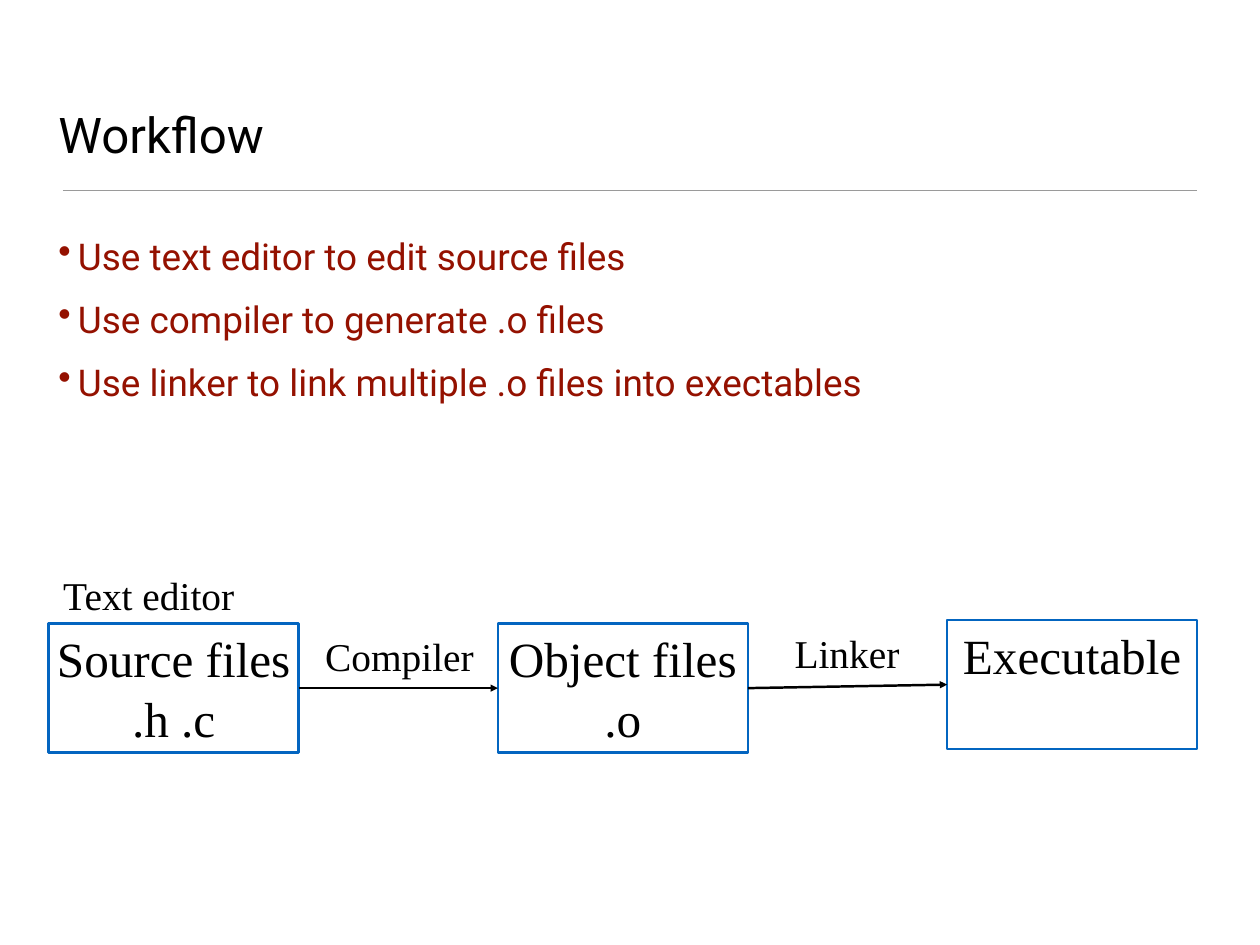
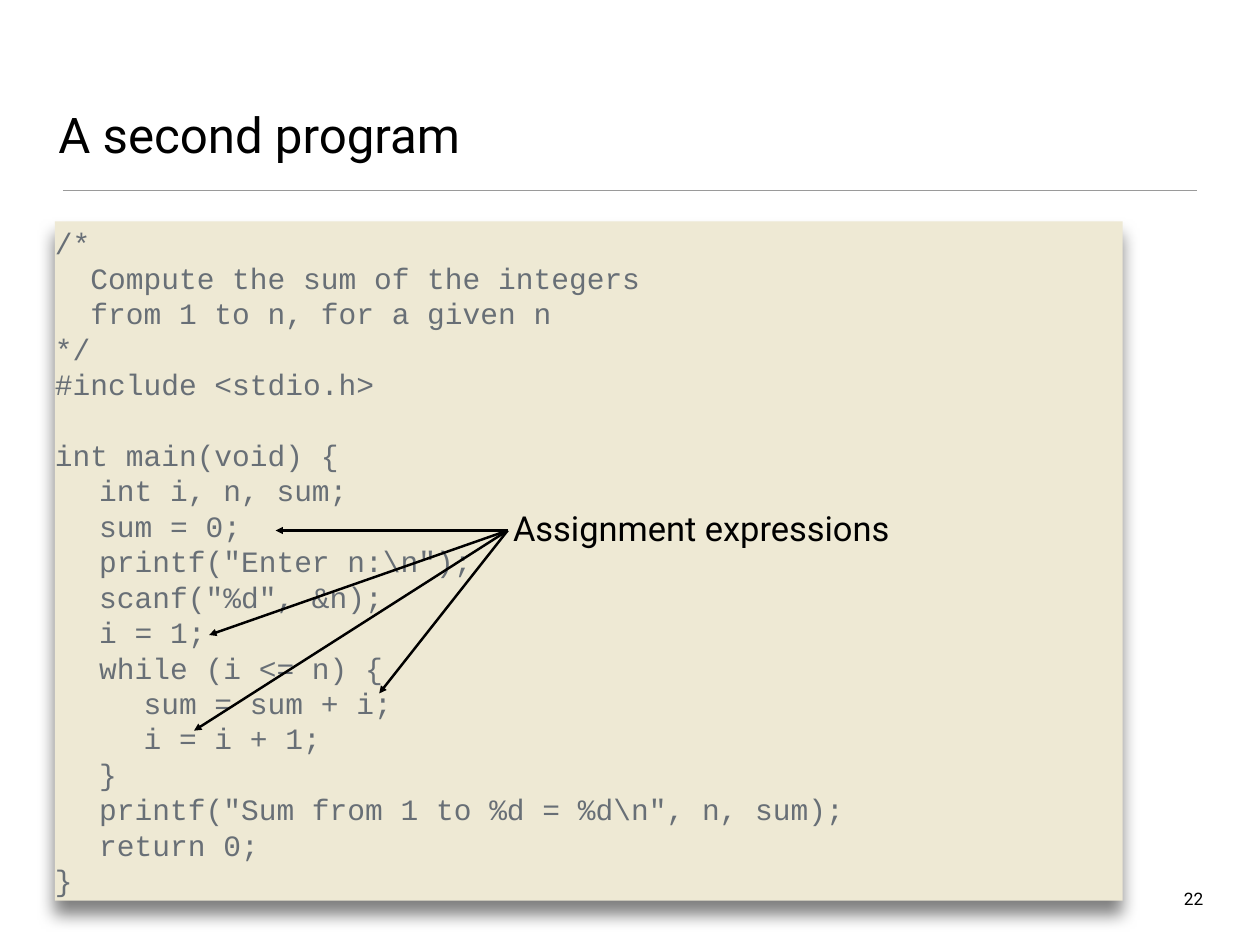
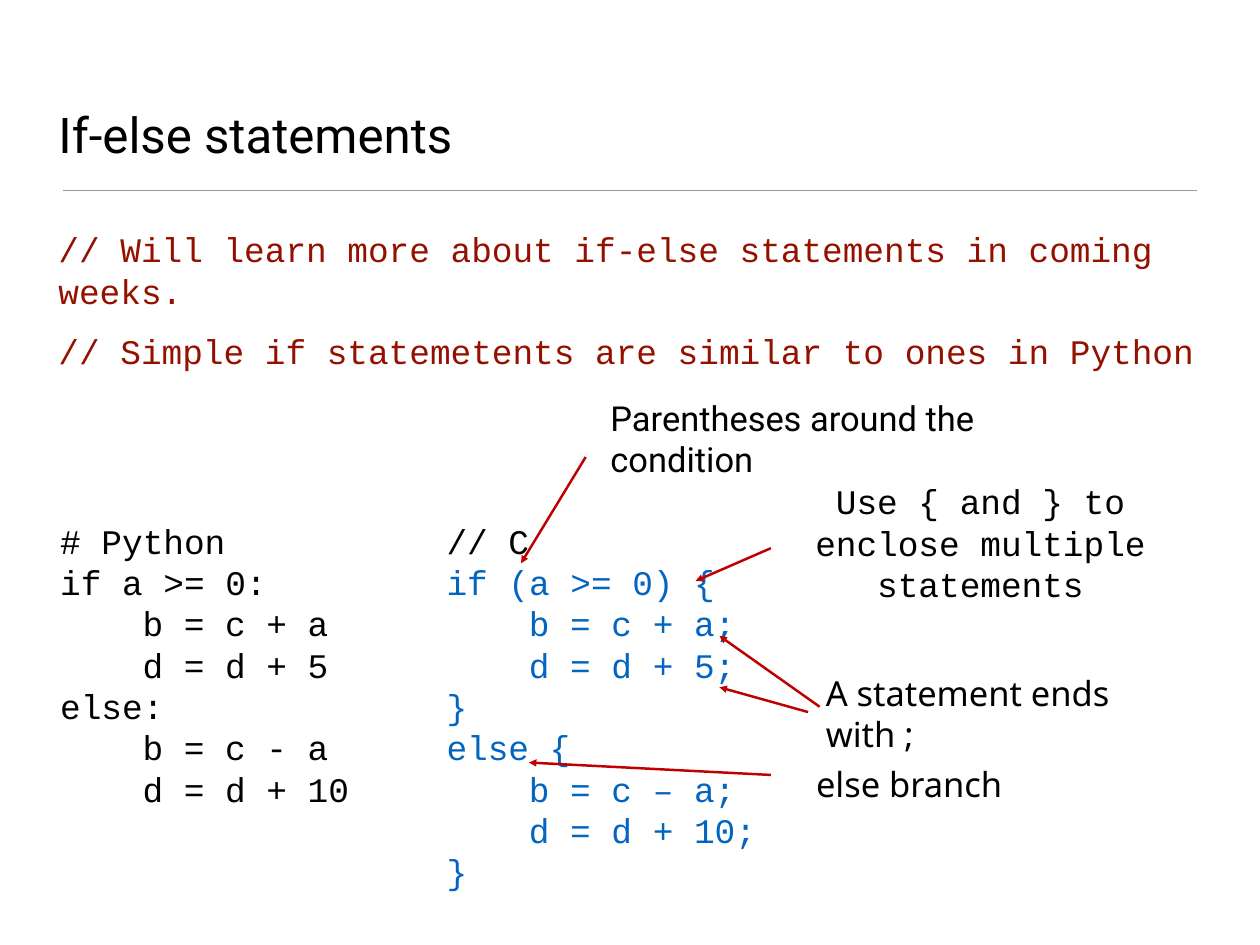
from lxml import etree
from pptx import Presentation
from pptx.dml.color import RGBColor
from pptx.enum.shapes import MSO_CONNECTOR, MSO_SHAPE
from pptx.enum.text import MSO_ANCHOR, PP_ALIGN
from pptx.oxml.ns import qn
from pptx.util import Inches, Pt

TOP, MIDDLE, BOTTOM = MSO_ANCHOR.TOP, MSO_ANCHOR.MIDDLE, MSO_ANCHOR.BOTTOM
LEFT, CENTER, RIGHT = PP_ALIGN.LEFT, PP_ALIGN.CENTER, PP_ALIGN.RIGHT
STRAIGHT, RECTANGLE = MSO_CONNECTOR.STRAIGHT, MSO_SHAPE.RECTANGLE

BLACK = RGBColor(0x00, 0x00, 0x00)
GRAY = RGBColor(0x9A, 0x9A, 0x9A)
SLATE = RGBColor(0x68, 0x6F, 0x76)
SAND = RGBColor(0xEE, 0xE9, 0xD4)
BLUE = RGBColor(0x03, 0x65, 0xC0)
MAROON = RGBColor(0x94, 0x11, 0x00)
RED = RGBColor(0xC0, 0x00, 0x00)

SANS, NOTO, SERIF, MONO = "Roboto", "Noto Sans", "Times New Roman", "Courier New"
LINE_HEIGHT = 1.2
TITLE_BOX = (0.62, 0.36, 12.97, 1.53)
BODY_SIZE = (12.97, 7.18)


def write(shape, lines, font, size, color=BLACK, anchor=MIDDLE, align=LEFT,
          inset=0.06, before=0, bullet=False):
    frame = shape.text_frame
    margin = Inches(inset)
    frame_format = {"word_wrap": True, "vertical_anchor": anchor,
                    "margin_left": margin, "margin_right": margin,
                    "margin_top": margin, "margin_bottom": margin}
    for name, value in frame_format.items():
        setattr(frame, name, value)
    for index, line in enumerate(lines):
        text, own = (line, {}) if isinstance(line, str) else line
        para = frame.add_paragraph() if index else frame.paragraphs[0]
        para_format = {"alignment": align, "line_spacing": Pt(size * LINE_HEIGHT),
                       "space_before": Pt(own.get("before", before))}
        for name, value in para_format.items():
            setattr(para, name, value)
        properties = para._p.get_or_add_pPr()
        if "indent" in own:
            properties.set("marL", str(Inches(own["indent"])))
            properties.set("indent", "0")
        if bullet:
            properties.set("marL", str(Inches(0.22)))
            properties.set("indent", str(Inches(-0.22)))
            etree.SubElement(properties, qn("a:buChar")).set("char", "•")
        span = para.add_run()
        span.text = text
        span_format = {"name": font, "size": Pt(size)}
        for name, value in span_format.items():
            setattr(span.font, name, value)
        span.font.color.rgb = own.get("color", color)


def add_text(page, box, lines, font, size, **style):
    write(page.shapes.add_textbox(*map(Inches, box)), lines, font, size, **style)


def add_line(page, start, end, color=BLACK, width=2, arrow=True):
    line = page.shapes.add_connector(STRAIGHT, *map(Inches, (*start, *end)))
    line.line.color.rgb = color
    line.line.width = Pt(width)
    if arrow:
        outline = line.line._get_or_add_ln()
        etree.SubElement(outline, qn("a:tailEnd")).set("type", "triangle")
    etree.SubElement(line._element.spPr, qn("a:effectLst"))


def add_panel(page, box, fill=None, outline=None):
    panel = page.shapes.add_shape(RECTANGLE, *map(Inches, box))
    panel.shadow.inherit = False
    if fill is None:
        panel.fill.background()
    else:
        panel.fill.solid()
        panel.fill.fore_color.rgb = fill
    if outline is None:
        panel.line.fill.background()
    else:
        panel.line.color.rgb = outline
        panel.line.width = Pt(2)
    return panel


def add_shadow(panel):
    effects = panel._element.spPr.find(qn("a:effectLst"))
    shadow = etree.SubElement(effects, qn("a:outerShdw"))
    shadow_format = {"blurRad": Pt(14), "dist": Pt(11), "dir": 90 * 60000,
                     "algn": "t", "rotWithShape": 0}
    for name, value in shadow_format.items():
        shadow.set(name, str(value))
    color = etree.SubElement(shadow, qn("a:srgbClr"))
    color.set("val", str(BLACK))
    etree.SubElement(color, qn("a:alpha")).set("val", "50000")


def add_page(deck, title):
    page = deck.slides.add_slide(deck.slide_layouts[6])
    add_line(page, (0.71, 2.15), (13.51, 2.15), GRAY, 1, arrow=False)
    add_text(page, TITLE_BOX, [title], SANS, 40, anchor=BOTTOM, inset=0.04)
    return page


def add_stages(page, box):
    left, top, width, height = box
    pitch = 5.07
    stages = [(["Source files", ".h .c"], 0), (["Object files", ".o"], 0),
              (["Executable"], -0.04)]
    for index, (lines, shift) in enumerate(stages):
        stage = add_panel(page, (left + index * pitch, top + shift, width, height),
                          outline=BLUE)
        write(stage, lines, SERIF, 40, anchor=TOP, align=CENTER)
    for index in range(2):
        start = left + index * pitch + width
        middle = top + height / 2
        add_line(page, (start, middle),
                 (start + pitch - width, middle + stages[index + 1][1]))
    labels = [("Text editor", -0.06, -0.65, 2.38), ("Compiler", 2.92, 0.04, 2.08),
              ("Linker", 8.09, 0.01, 1.84)]
    for label, across, down, label_width in labels:
        add_text(page, (left + across, top + down, label_width, 0.65), [label],
                 SERIF, 32, align=CENTER)


def add_program(page, box):
    first, second = {"indent": 0.5}, {"indent": 1}
    comment = {"indent": 0.4}
    panel = add_panel(page, box, fill=SAND)
    add_shadow(panel)
    write(panel, [
        "/*",
        ("Compute the sum of the integers", comment),
        ("from 1 to n, for a given n", comment),
        "*/",
        "#include <stdio.h>",
        ("int main(void) {", {"before": 24 * LINE_HEIGHT}),
        ("int i, n, sum;", first),
        ("sum = 0;", first),
        ('printf("Enter n:\\n");', first),
        ('scanf("%d", &n);', first),
        ("i = 1;", first),
        ("while (i <= n) {", first),
        ("sum = sum + i;", second),
        ("i = i + 1;", second),
        ("}", first),
        ('printf("Sum from 1 to %d = %d\\n", n, sum);', first),
        ("return 0;", first),
        "}",
    ], MONO, 24, color=SLATE, inset=0)


def add_assignments(page, box):
    left, top, width, height = box
    add_text(page, box, ["Assignment expressions"], SANS, 28)
    start = (left, top + 0.56)
    for across, down in [(-2.62, 0), (-3.37, 1.18), (-1.45, 1.84), (-3.54, 2.26)]:
        add_line(page, start, (start[0] + across, start[1] + down))


def add_comparison(page, box):
    left, top, width, height = box
    inner = {"indent": 0.93}
    blue, blue_inner = {"color": BLUE}, {"color": BLUE, "indent": 0.93}
    python_lines = ["# Python", "if a >= 0:", ("b = c + a", inner),
                    ("d = d + 5", inner), "else:", ("b = c - a", inner),
                    ("d = d + 10", inner)]
    c_lines = ["// C", ("if (a >= 0) {", blue), ("b = c + a;", blue_inner),
               ("d = d + 5;", blue_inner), ("}", blue), ("else {", blue),
               ("b = c – a;", blue_inner), ("d = d + 10;", blue_inner), ("}", blue)]
    for lines, across, column_width in [(python_lines, 0, 3.66), (c_lines, 4.36, 5.14)]:
        add_text(page, (left + across, top, column_width, height), lines,
                 MONO, 28, anchor=TOP)


def add_remarks(page, box):
    left, top, width, height = box
    remarks = [
        ("Parentheses around the condition", SANS, LEFT, (0, 0, 4.85, 1.05)),
        ("Use { and } to enclose multiple statements", MONO, CENTER,
         (1.81, 1.18, 4.85, 1.05)),
        ("A statement ends with ;", NOTO, LEFT, (2.43, 3.34, 4.34, 0.58)),
        ("else branch", NOTO, LEFT, (2.32, 4.14, 4.34, 0.58)),
    ]
    for text, font, align, (across, down, text_width, text_height) in remarks:
        add_text(page, (left + across, top + down, text_width, text_height), [text],
                 font, 28, align=align)
    arrows = [((-0.22, 0.74), (-0.95, 1.94)), ((1.87, 1.77), (1.02, 2.14)),
              ((2.29, 3.62), (1.29, 3.34)), ((2.42, 3.56), (1.29, 2.76)),
              ((1.87, 4.33), (-0.86, 4.19))]
    for start, end in arrows:
        add_line(page, (left + start[0], top + start[1]),
                 (left + end[0], top + end[1]), RED)


def build_workflow(deck):
    page = add_page(deck, "Workflow")
    add_text(page, (0.62, 2.6, *BODY_SIZE), [
        "Use text editor to edit source files",
        "Use compiler to generate .o files",
        "Use linker to link multiple .o files into exectables",
    ], SANS, 30, color=MAROON, anchor=TOP, inset=0.04, before=15, bullet=True)
    add_stages(page, (0.55, 7.04, 2.82, 1.46))


def build_second_program(deck):
    page = add_page(deck, "A second program")
    add_text(page, (13.31, 9.99, 0.31, 0.3), ["22"], SANS, 14, anchor=TOP,
             align=RIGHT, inset=0.04)
    add_program(page, (0.62, 2.5, 12.05, 7.67))
    add_assignments(page, (5.73, 5.43, 6.38, 1.05))


def build_if_else(deck):
    page = add_page(deck, "If-else statements")
    add_text(page, (0.62, 2.54, *BODY_SIZE), [
        "// Will learn more about if-else statements in coming weeks.",
        "// Simple if statemetents are similar to ones in Python",
    ], MONO, 28, color=MAROON, anchor=TOP, inset=0.04, before=15)
    add_comparison(page, (0.62, 5.81, 9.5, 4.17))
    add_remarks(page, (6.83, 4.42, 6.77, 4.72))


deck = Presentation()
deck.slide_width, deck.slide_height = Inches(14.22), Inches(10.67)
for build in (build_workflow, build_second_program, build_if_else):
    build(deck)
deck.save("out.pptx")
